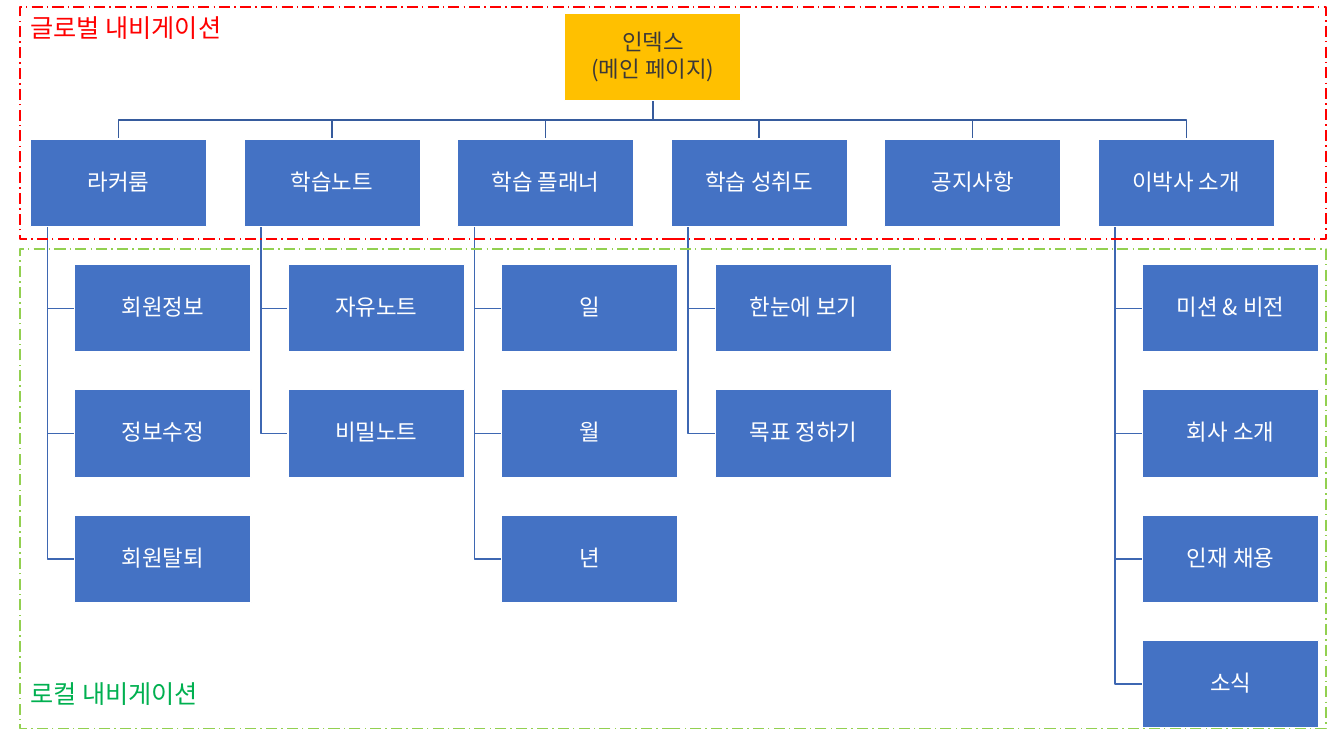
from pptx import Presentation
from pptx import util as u
from pptx.dml.color import RGBColor
from pptx.enum import dml, shapes, text
from pptx.oxml.ns import qn
from lxml import etree

FONT = "Noto Sans CJK KR"
WHITE = RGBColor(0xFF, 0xFF, 0xFF)
DARK = RGBColor(0x3B, 0x38, 0x38)
GOLD = RGBColor(0xFF, 0xC0, 0x00)
BLUE = RGBColor(0x44, 0x72, 0xC4)
MENU_LINE = RGBColor(0x36, 0x5B, 0x9D)
PAGE_LINE = RGBColor(0x3E, 0x67, 0xB2)
RED = RGBColor(0xFF, 0x00, 0x00)
LIME = RGBColor(0x92, 0xD0, 0x50)
GREEN = RGBColor(0x00, 0xB0, 0x50)

BOX_WIDTH, BOX_HEIGHT = 1.75, 0.87
INDEX_LEFT, INDEX_TOP = 5.6, 0.13
MENU_LEFT, MENU_TOP, MENU_STEP = 0.3, 1.38, 10.59 / 5
PAGE_INDENT, PAGE_STEP = 0.44, 1.243
TRUNK_INDENT, BUS_TOP = 0.17, 1.19

menus = [
    ("라커룸", ["회원정보", "정보수정", "회원탈퇴"]),
    ("학습노트", ["자유노트", "비밀노트"]),
    ("학습 플래너", ["일", "월", "년"]),
    ("학습 성취도", ["한눈에 보기", "목표 정하기"]),
    ("공지사항", []),
    ("이박사 소개", ["미션 & 비전", "회사 소개", "인재 채용", "소식"]),
]

presentation = Presentation()
presentation.slide_width = u.Inches(13.33)
presentation.slide_height = u.Inches(7.5)
slide = presentation.slides.add_slide(presentation.slide_layouts[6])


def add_box(left, top, label, fill, color):
    shape = slide.shapes.add_shape(
        shapes.MSO_SHAPE.RECTANGLE, u.Inches(left), u.Inches(top),
        u.Inches(BOX_WIDTH), u.Inches(BOX_HEIGHT))
    shape.shadow.inherit = False
    shape.fill.solid()
    shape.fill.fore_color.rgb = fill
    shape.line.color.rgb = WHITE
    shape.line.width = u.Pt(1)
    frame = shape.text_frame
    frame.margin_left = frame.margin_right = u.Inches(0.01)
    frame.margin_top = frame.margin_bottom = u.Inches(0.01)
    frame.vertical_anchor = text.MSO_ANCHOR.MIDDLE
    frame.text = label
    for paragraph in frame.paragraphs:
        paragraph.alignment = text.PP_ALIGN.CENTER
        paragraph.line_spacing = 0.9
        paragraph.space_after = u.Pt(2)
        style_font(paragraph.runs[0], 16, color)


def style_font(run, size, color):
    run.font.size = u.Pt(size)
    run.font.name = FONT
    run.font.color.rgb = color
    east_asian = etree.SubElement(run.font._element, qn("a:ea"))
    east_asian.set("typeface", FONT)


# Branch lines: from the index to each menu, and from each menu to its pages
branches = []
index_middle = INDEX_LEFT + BOX_WIDTH / 2
menu_bottom = MENU_TOP + BOX_HEIGHT
for column, (menu, pages) in enumerate(menus):
    left = MENU_LEFT + column * MENU_STEP
    middle = left + BOX_WIDTH / 2
    branches.append((MENU_LINE, [
        (index_middle, INDEX_TOP + BOX_HEIGHT), (index_middle, BUS_TOP),
        (middle, BUS_TOP), (middle, MENU_TOP)]))
    trunk = left + TRUNK_INDENT
    for row in range(len(pages)):
        page_middle = MENU_TOP + (row + 1) * PAGE_STEP + BOX_HEIGHT / 2
        branches.append((PAGE_LINE, [
            (trunk, menu_bottom), (trunk, page_middle),
            (left + PAGE_INDENT, page_middle)]))

for color, points in branches:
    start, *corners = [(u.Inches(x), u.Inches(y)) for x, y in points]
    builder = slide.shapes.build_freeform(*start)
    builder.add_line_segments(corners, close=False)
    branch = builder.convert_to_shape()
    branch.shadow.inherit = False
    branch.fill.background()
    branch.line.color.rgb = color
    branch.line.width = u.Pt(1)

# Index, menu and page boxes
add_box(INDEX_LEFT, INDEX_TOP, "인덱스\n(메인 페이지)", GOLD, DARK)
for column, (menu, pages) in enumerate(menus):
    left = MENU_LEFT + column * MENU_STEP
    add_box(left, MENU_TOP, menu, BLUE, WHITE)
    for row, page in enumerate(pages, 1):
        add_box(left + PAGE_INDENT, MENU_TOP + row * PAGE_STEP, page, BLUE, WHITE)

# Dashed navigation areas with their labels
areas = [
    (0.07, 2.3, RED, "글로벌 내비게이션", 0.07, RED),
    (2.47, 4.76, LIME, "로컬 내비게이션", 6.68, GREEN),
]
for top, height, line_color, label, label_top, label_color in areas:
    area = slide.shapes.add_shape(
        shapes.MSO_SHAPE.RECTANGLE, u.Inches(0.2), u.Inches(top),
        u.Inches(12.95), u.Inches(height))
    area.shadow.inherit = False
    area.fill.background()
    area.line.color.rgb = line_color
    area.line.width = u.Pt(1)
    area.line.dash_style = dml.MSO_LINE.LONG_DASH_DOT
    caption = slide.shapes.add_textbox(
        u.Inches(0.2), u.Inches(label_top), u.Inches(2.77), u.Inches(0.4))
    caption.text_frame.word_wrap = True
    caption.text_frame.auto_size = text.MSO_AUTO_SIZE.SHAPE_TO_FIT_TEXT
    caption.text_frame.text = label
    style_font(caption.text_frame.paragraphs[0].runs[0], 18, label_color)

presentation.save("out.pptx")
